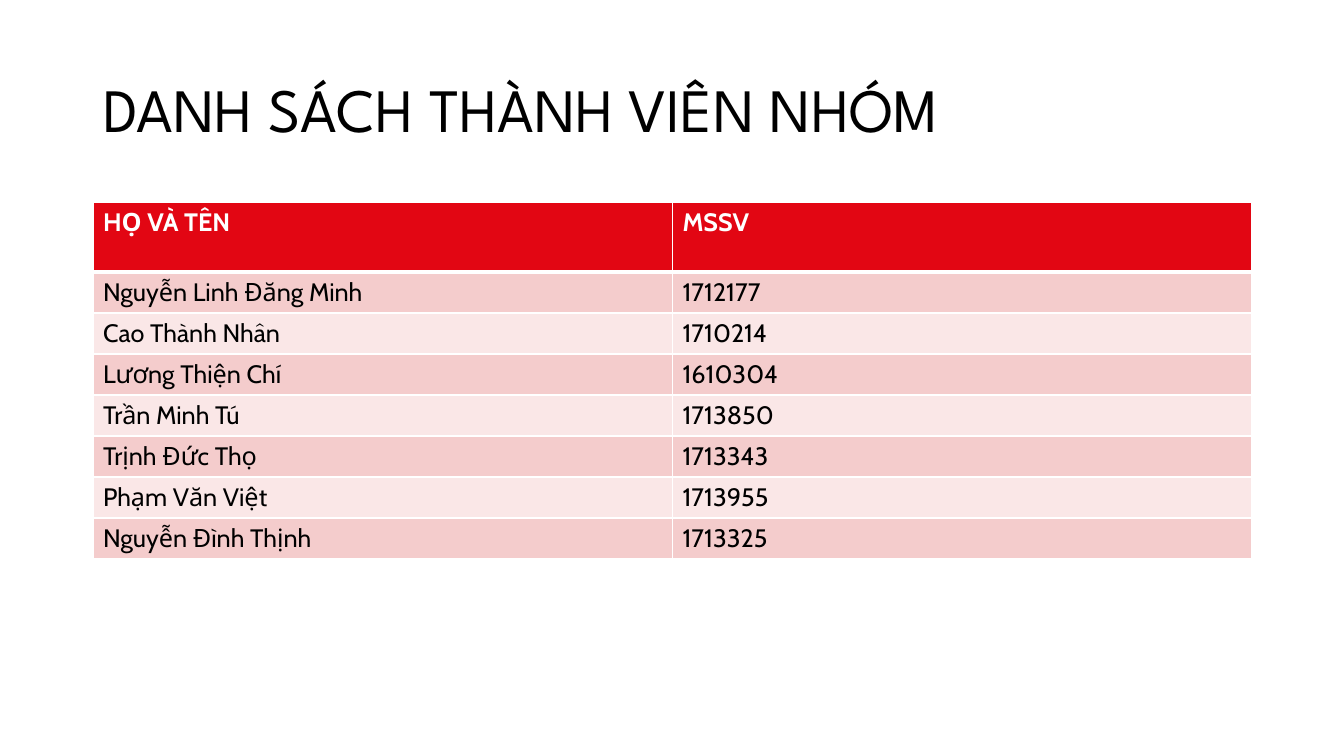
"""Build the slide that lists the group members and their student numbers."""
import pptx
import pptx.dml.color
import pptx.enum.text
import pptx.oxml
import pptx.oxml.ns
import pptx.util

TITLE = "DANH SÁCH THÀNH VIÊN NHÓM"
MEMBERS = [
    ("HỌ VÀ TÊN", "MSSV"),
    ("Nguyễn Linh Đăng Minh", "1712177"),
    ("Cao Thành Nhân", "1710214"),
    ("Lương Thiện Chí", "1610304"),
    ("Trần Minh Tú", "1713850"),
    ("Trịnh Đức Thọ", "1713343"),
    ("Phạm Văn Việt", "1713955"),
    ("Nguyễn Đình Thịnh", "1713325"),
]
COLORS = {"header": "E20613", "odd": "F4CCCC", "even": "FAE7E7",
          "text": "000000", "white": "FFFFFF"}
SLIDE_W, SLIDE_H = 1344, 756
LEFT, WIDTH = 93, 1159
TITLE_TOP, TITLE_H = 40, 146
TABLE_TOP, HEADER_H, ROW_H = 202, 70, 41


def px(n):
    return pptx.util.Emu(round(n * 914400 / 100.8))


def rgb(name):
    return pptx.dml.color.RGBColor.from_string(COLORS[name])


def set_font(p, name, size, color, bold=False):
    p.font.name = name
    p.font.size = pptx.util.Pt(size)
    p.font.bold = bold
    p.font.color.rgb = rgb(color)


def set_borders(cell, widths):
    tcPr = cell._tc.get_or_add_tcPr()
    for side, width in widths.items():
        tcPr.append(pptx.oxml.parse_xml(
            f'<a:ln{side} {pptx.oxml.ns.nsdecls("a")} w="{pptx.util.Pt(width)}">'
            f'<a:solidFill><a:srgbClr val="{COLORS["white"]}"/></a:solidFill>'
            f'</a:ln{side}>'))


def add_title(s):
    sp = s.shapes.title
    sp.left, sp.top, sp.width, sp.height = map(px, (LEFT, TITLE_TOP, WIDTH, TITLE_H))
    tf = sp.text_frame
    tf.text = TITLE
    tf.word_wrap = True
    tf.vertical_anchor = pptx.enum.text.MSO_ANCHOR.MIDDLE
    p = tf.paragraphs[0]
    p.alignment = pptx.enum.text.PP_ALIGN.LEFT
    p.line_spacing = 0.9
    set_font(p, "League Spartan", 44, "text")


def add_members(s):
    heights = [HEADER_H] + [ROW_H] * (len(MEMBERS) - 1)
    table = s.shapes.add_table(len(MEMBERS), len(MEMBERS[0]), px(LEFT), px(TABLE_TOP),
                               px(WIDTH), px(sum(heights))).table
    for i, (member, height) in enumerate(zip(MEMBERS, heights)):
        table.rows[i].height = px(height)
        header = i == 0
        fill = "header" if header else "odd" if i % 2 else "even"
        for j, text in enumerate(member):
            cell = table.cell(i, j)
            set_borders(cell, {"L": 1, "R": 1, "T": 3 if i == 1 else 1,
                               "B": 3 if header else 1})
            cell.fill.solid()
            cell.fill.fore_color.rgb = rgb(fill)
            cell.text = text
            set_font(cell.text_frame.paragraphs[0], "Cabin", 18,
                     "white" if header else "text", header)


def main():
    prs = pptx.Presentation()
    prs.slide_width, prs.slide_height = px(SLIDE_W), px(SLIDE_H)
    s = prs.slides.add_slide(prs.slide_layouts[5])
    add_title(s)
    add_members(s)
    prs.save("out.pptx")


if __name__ == "__main__":
    main()
